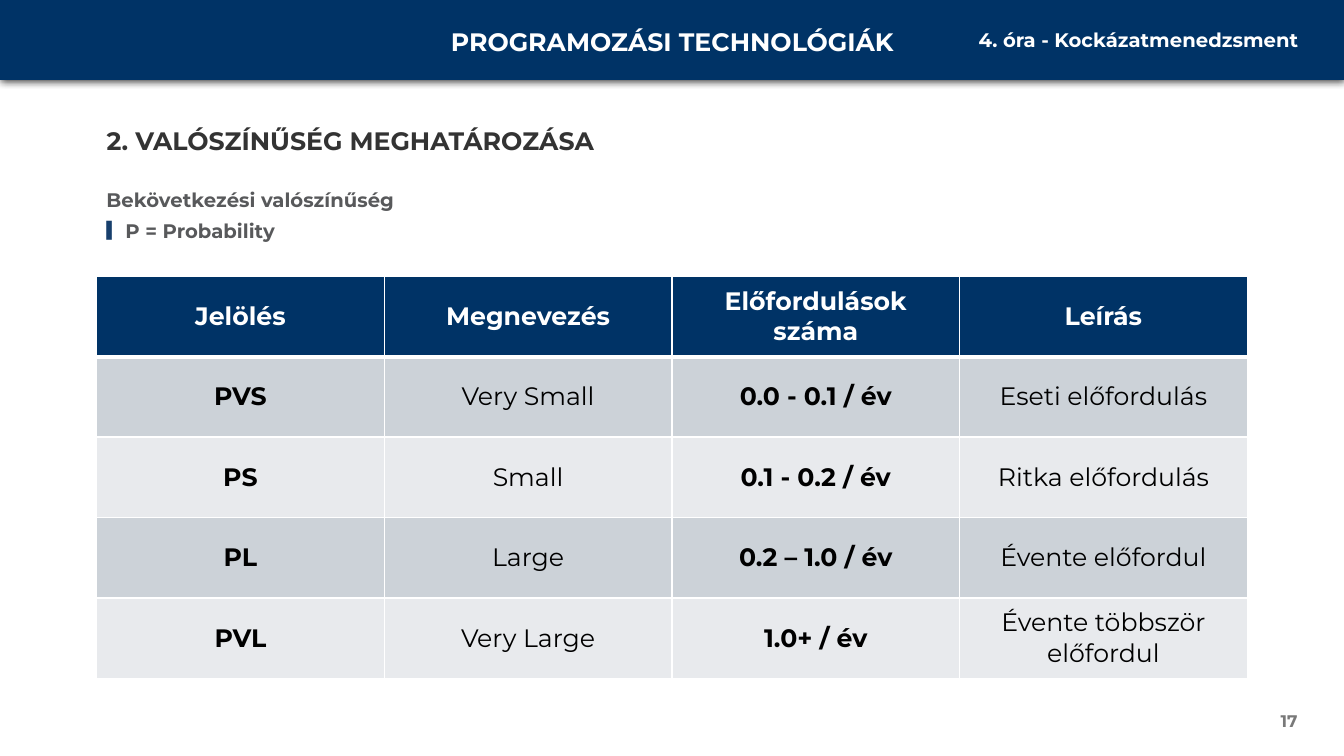
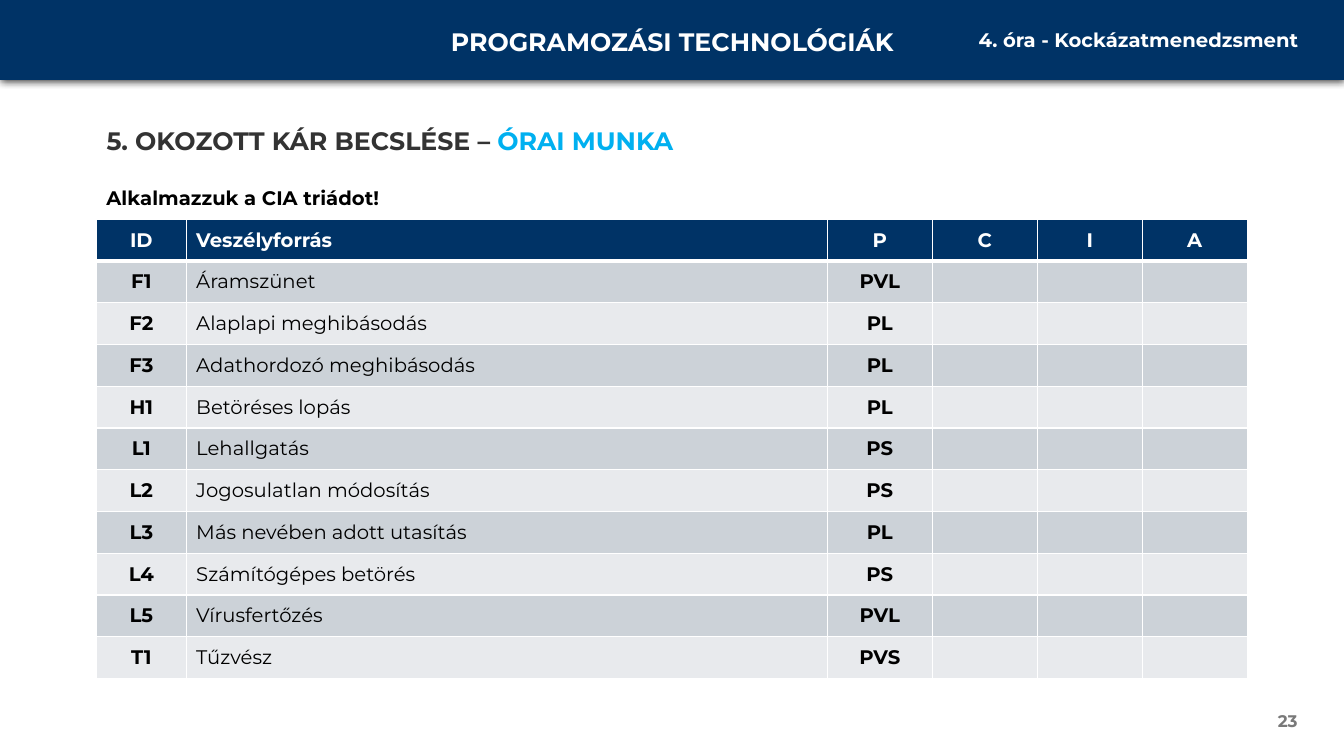
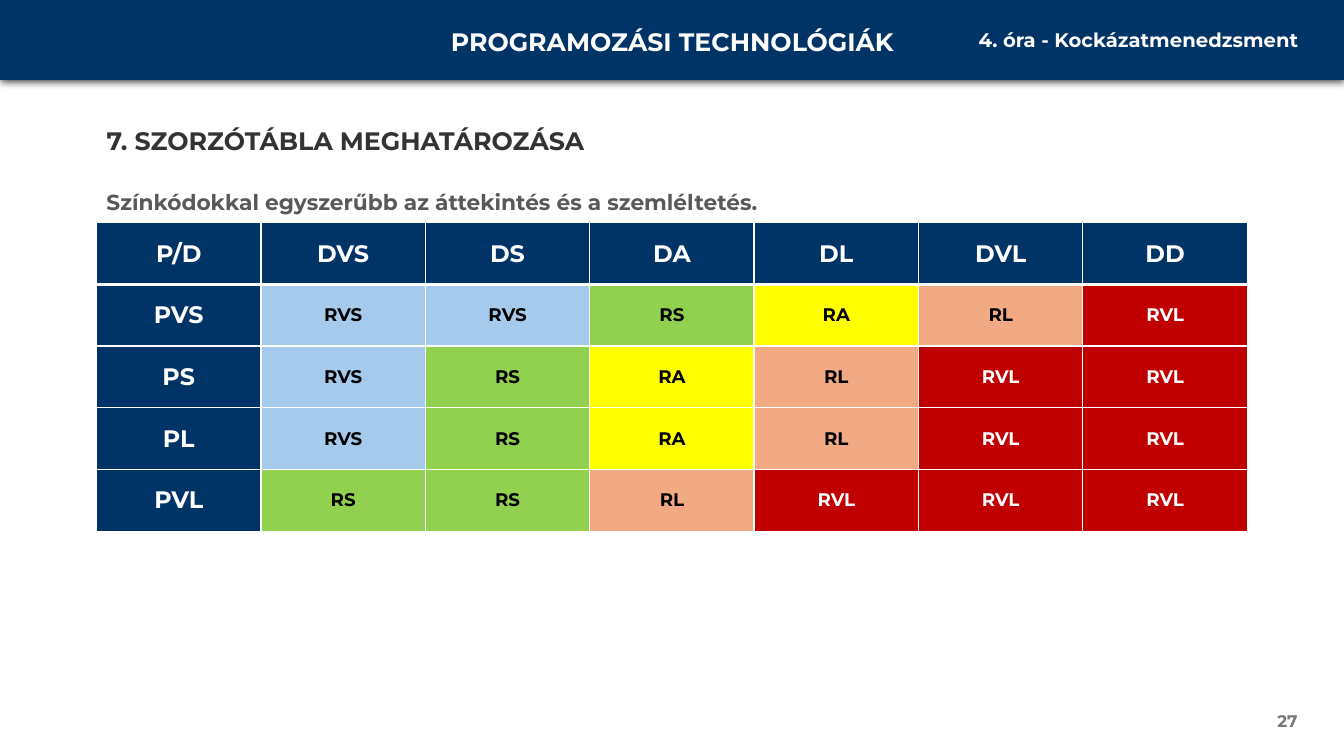
"""Build three risk management slides with a shared header band and tables."""
from dataclasses import dataclass, field

from lxml import etree
from pptx import Presentation
from pptx.dml.color import RGBColor
from pptx.enum.shapes import MSO_SHAPE
from pptx.enum.text import MSO_ANCHOR, MSO_AUTO_SIZE, PP_ALIGN
from pptx.oxml import parse_xml
from pptx.oxml.ns import nsdecls, qn
from pptx.util import Pt

LEFT, MID, RIGHT = PP_ALIGN.LEFT, PP_ALIGN.CENTER, PP_ALIGN.RIGHT
MIDDLE, TOP = MSO_ANCHOR.MIDDLE, MSO_ANCHOR.TOP
GROW, FIXED = MSO_AUTO_SIZE.SHAPE_TO_FIT_TEXT, MSO_AUTO_SIZE.NONE
RECT = MSO_SHAPE.RECTANGLE

FONT = "Montserrat"
NAVY = RGBColor(0x00, 0x33, 0x66)
WHITE = RGBColor(0xFF, 0xFF, 0xFF)
BLACK = RGBColor(0x00, 0x00, 0x00)
DARK = RGBColor(0x33, 0x33, 0x33)
GREY = RGBColor(0x58, 0x59, 0x5B)
PALE = RGBColor(0x79, 0x79, 0x79)
CYAN = RGBColor(0x00, 0xB0, 0xF0)
BANDS = (RGBColor(0xCC, 0xD2, 0xD8), RGBColor(0xE8, 0xEA, 0xED))
MARK = RGBColor(0x17, 0x3F, 0x6C)
RED = RGBColor(0xC0, 0x00, 0x00)
RISKS = {
    "RVS": RGBColor(0xA6, 0xCA, 0xEC),
    "RS": RGBColor(0x92, 0xD0, 0x50),
    "RA": RGBColor(0xFF, 0xFF, 0x00),
    "RL": RGBColor(0xF2, 0xAA, 0x84),
    "RVL": RED,
}

WIDE, HIGH = 960, 540
EDGE, SPAN = 69, 822


@dataclass(frozen=True)
class Grid:
    """Content and layout of one table."""
    top: float
    high: float
    cols: list[float]
    rows: list[str]
    size: float
    small: float
    bold: set[int]
    left: set[int] = field(default_factory=set)
    risk: bool = False


@dataclass(frozen=True)
class Page:
    """Content of one slide."""
    num: int
    title: str
    lead: str
    grid: Grid
    accent: str = ""
    point: str = ""
    size: float = 14
    color: RGBColor = GREY
    line: float = 1.0


PAGES = [
    Page(17, "2. VALÓSZÍNŰSÉG MEGHATÁROZÁSA", "Bekövetkezési valószínűség",
         Grid(197.3, 287.3, [SPAN / 4] * 4, [
             "Jelölés|Megnevezés|Előfordulások száma|Leírás",
             "PVS|Very Small|0.0 - 0.1 / év|Eseti előfordulás",
             "PS|Small|0.1 - 0.2 / év|Ritka előfordulás",
             "PL|Large|0.2 – 1.0 / év|Évente előfordul",
             "PVL|Very Large|1.0+ / év|Évente többször előfordul",
         ], 18, 18, {0, 2}),
         point="P = Probability"),
    Page(23, "5. OKOZOTT KÁR BECSLÉSE – ", "Alkalmazzuk a CIA triádot!",
         Grid(156.6, 328.3, [64, 458] + [75] * 4, [
             "ID|Veszélyforrás|P|C|I|A",
             "F1|Áramszünet|PVL|||",
             "F2|Alaplapi meghibásodás|PL|||",
             "F3|Adathordozó meghibásodás|PL|||",
             "H1|Betöréses lopás|PL|||",
             "L1|Lehallgatás|PS|||",
             "L2|Jogosulatlan módosítás|PS|||",
             "L3|Más nevében adott utasítás|PL|||",
             "L4|Számítógépes betörés|PS|||",
             "L5|Vírusfertőzés|PVL|||",
             "T1|Tűzvész|PVS|||",
         ], 14, 14, {0, 2}, left={1}),
         accent="ÓRAI MUNKA", color=BLACK, line=0.9),
    Page(27, "7. SZORZÓTÁBLA MEGHATÁROZÁSA",
         "Színkódokkal egyszerűbb az áttekintés és a szemléltetés.",
         Grid(159.1, 220.3, [SPAN / 7] * 7, [
             "P/D|DVS|DS|DA|DL|DVL|DD",
             "PVS|RVS|RVS|RS|RA|RL|RVL",
             "PS|RVS|RS|RA|RL|RVL|RVL",
             "PL|RVS|RS|RA|RL|RVL|RVL",
             "PVL|RS|RS|RL|RVL|RVL|RVL",
         ], 17, 13, set(range(7)), risk=True),
         size=15.5),
]


def put(para, text: str, *, size: float = 14, color: RGBColor = WHITE,
        bold: bool = True, align=LEFT) -> None:
    """Add a formatted run to a paragraph."""
    para.alignment = align
    para.font.size = Pt(size)
    if not text:
        return
    run = para.add_run()
    run.text = text
    font = run.font
    font.name, font.size, font.bold = FONT, Pt(size), bold
    font.color.rgb = color


def box(slide, left: float, top: float, width: float, high: float,
        anchor=TOP, fit=GROW):
    """Add a wrapping text box and return its text frame."""
    shape = slide.shapes.add_textbox(Pt(left), Pt(top), Pt(width), Pt(high))
    frame = shape.text_frame
    frame.word_wrap = True
    frame.auto_size = fit
    frame.vertical_anchor = anchor
    return frame


def mark(para) -> None:
    """Give a paragraph the bar bullet and its hanging indent."""
    props = para._p.get_or_add_pPr()
    props.set("marL", str(Pt(13.5)))
    props.set("indent", str(Pt(-13.5)))
    color = etree.SubElement(props, qn("a:buClr"))
    etree.SubElement(color, qn("a:srgbClr"), val=str(MARK))
    etree.SubElement(props, qn("a:buSzPct"), val="80000")
    etree.SubElement(props, qn("a:buFont"), typeface="Arial")
    etree.SubElement(props, qn("a:buChar"), char="▌")


def band(slide) -> None:
    """Draw the header band with its soft shadow."""
    shape = slide.shapes.add_shape(RECT, 0, 0, Pt(WIDE), Pt(57))
    shape.fill.solid()
    shape.fill.fore_color.rgb = NAVY
    shape.line.fill.background()
    shape.shadow.inherit = False
    glow = parse_xml(
        f'<a:outerShdw {nsdecls("a")} blurRad="{Pt(6)}" dist="0" '
        'dir="5400000" algn="t" rotWithShape="0"><a:srgbClr val="000000">'
        '<a:alpha val="80000"/></a:srgbClr></a:outerShdw>')
    shape._element.spPr.find(qn("a:effectLst")).append(glow)


def frame_cell(cell, top: float, base: float) -> None:
    """Give a cell white borders."""
    props = cell._tc.get_or_add_tcPr()
    sides = {"lnL": 1, "lnR": 1, "lnT": top, "lnB": base}
    for spot, (side, width) in enumerate(sides.items()):
        props.insert(spot, parse_xml(
            f'<a:{side} {nsdecls("a")} w="{Pt(width)}"><a:solidFill>'
            f'<a:srgbClr val="{WHITE}"/></a:solidFill></a:{side}>'))


def draw_grid(slide, grid: Grid) -> None:
    """Draw a table with a navy head and banded or risk coloured cells."""
    count = len(grid.rows)
    table = slide.shapes.add_table(
        count, len(grid.cols), Pt(EDGE), Pt(grid.top), Pt(SPAN),
        Pt(grid.high)).table
    table.horz_banding = False
    for col, width in zip(table.columns, grid.cols):
        col.width = Pt(width)
    for y, line in enumerate(grid.rows):
        table.rows[y].height = Pt(grid.high / count)
        for x, text in enumerate(line.split("|")):
            cell = table.cell(y, x)
            head = y == 0 or (grid.risk and x == 0)
            if head:
                fill = NAVY
            else:
                fill = RISKS[text] if grid.risk else BANDS[(y - 1) % 2]
            cell.fill.solid()
            cell.fill.fore_color.rgb = fill
            cell.vertical_anchor = MIDDLE
            frame_cell(cell, 3 if y == 1 else 1, 3 if y == 0 else 1)
            put(cell.text_frame.paragraphs[0], text,
                size=grid.size if head else grid.small,
                color=WHITE if fill in (NAVY, RED) else BLACK,
                bold=head or x in grid.bold,
                align=LEFT if x in grid.left else MID)


def draw_page(slide, page: Page) -> None:
    """Draw the shared parts, the text and the table of a slide."""
    band(slide)
    course = box(slide, 292.3, 15.1, 375.8, 29)
    put(course.paragraphs[0], "PROGRAMOZÁSI TECHNOLÓGIÁK", size=18, align=MID)
    lesson = box(slide, 674.6, 16.6, 260, 24.5)
    put(lesson.paragraphs[0], "4. óra - Kockázatmenedzsment", align=RIGHT)
    title = box(slide, EDGE, 85.7, 599, 29).paragraphs[0]
    put(title, page.title, size=18, color=DARK)
    put(title, page.accent, size=18, color=CYAN)
    body = box(slide, EDGE, 131, SPAN, 369.4, fit=FIXED)
    lead = body.paragraphs[0]
    lead.line_spacing = page.line
    lead.space_after = Pt(2)
    put(lead, page.lead, size=page.size, color=page.color)
    if page.point:
        point = body.add_paragraph()
        point.space_before, point.space_after = Pt(3), Pt(2)
        mark(point)
        put(point, page.point, size=page.size, color=page.color)
    foot = box(slide, 718, 500.4, 216, 28.8, MIDDLE, FIXED)
    put(foot.paragraphs[0], str(page.num), size=12, color=PALE, align=RIGHT)
    draw_grid(slide, page.grid)


def main() -> None:
    """Build and save the deck."""
    deck = Presentation()
    deck.slide_width, deck.slide_height = Pt(WIDE), Pt(HIGH)
    for page in PAGES:
        draw_page(deck.slides.add_slide(deck.slide_layouts[6]), page)
    deck.save("out.pptx")


if __name__ == "__main__":
    main()
